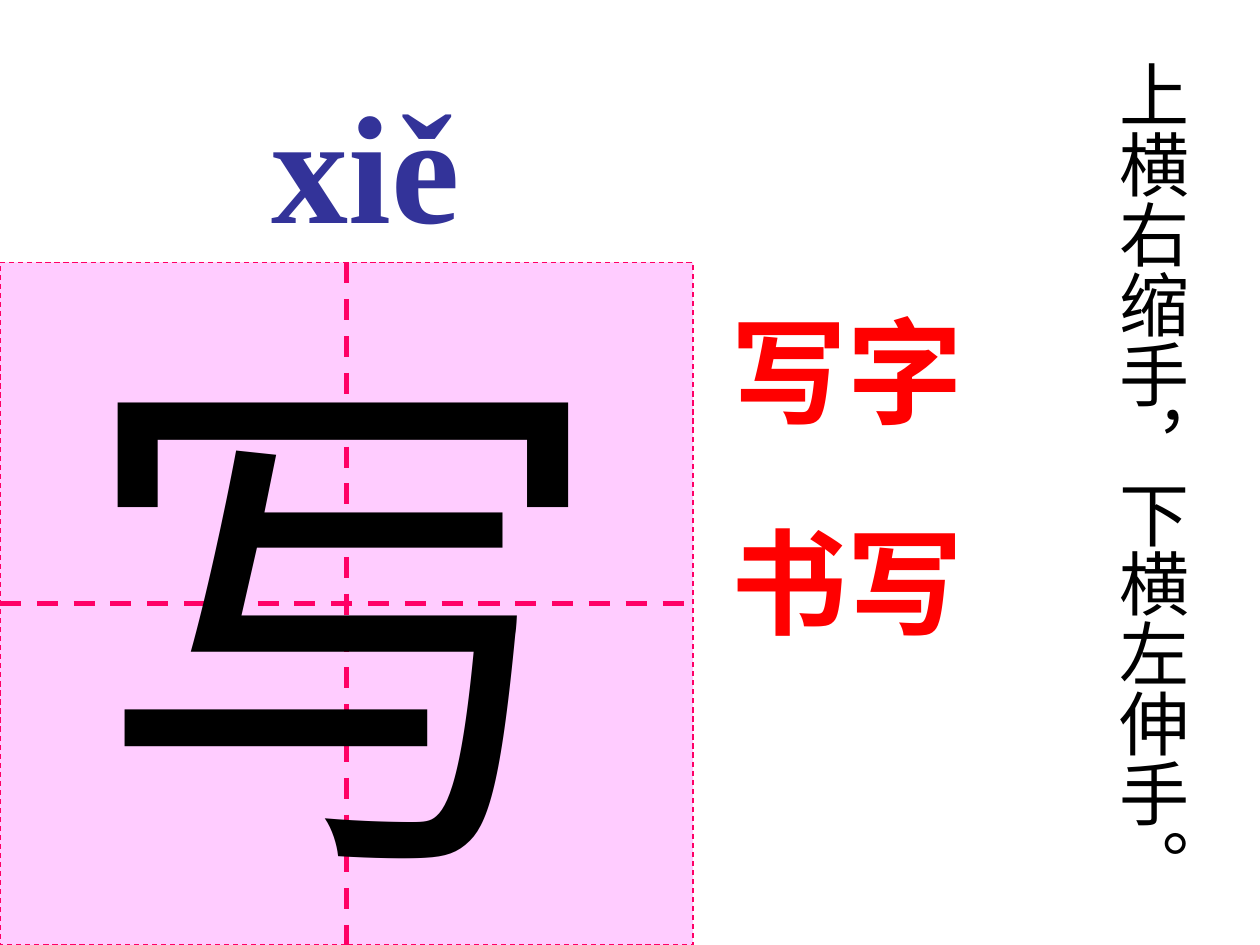
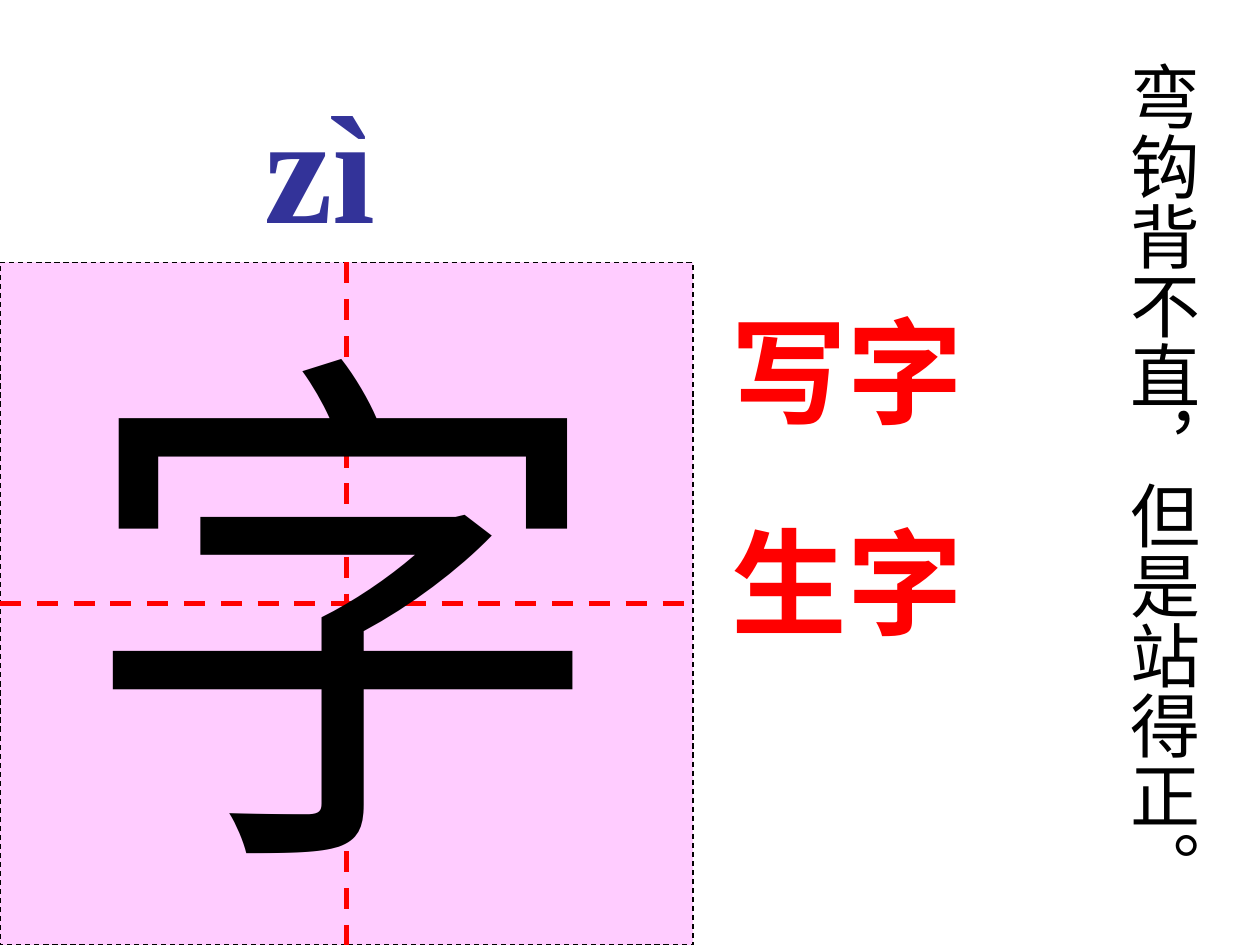
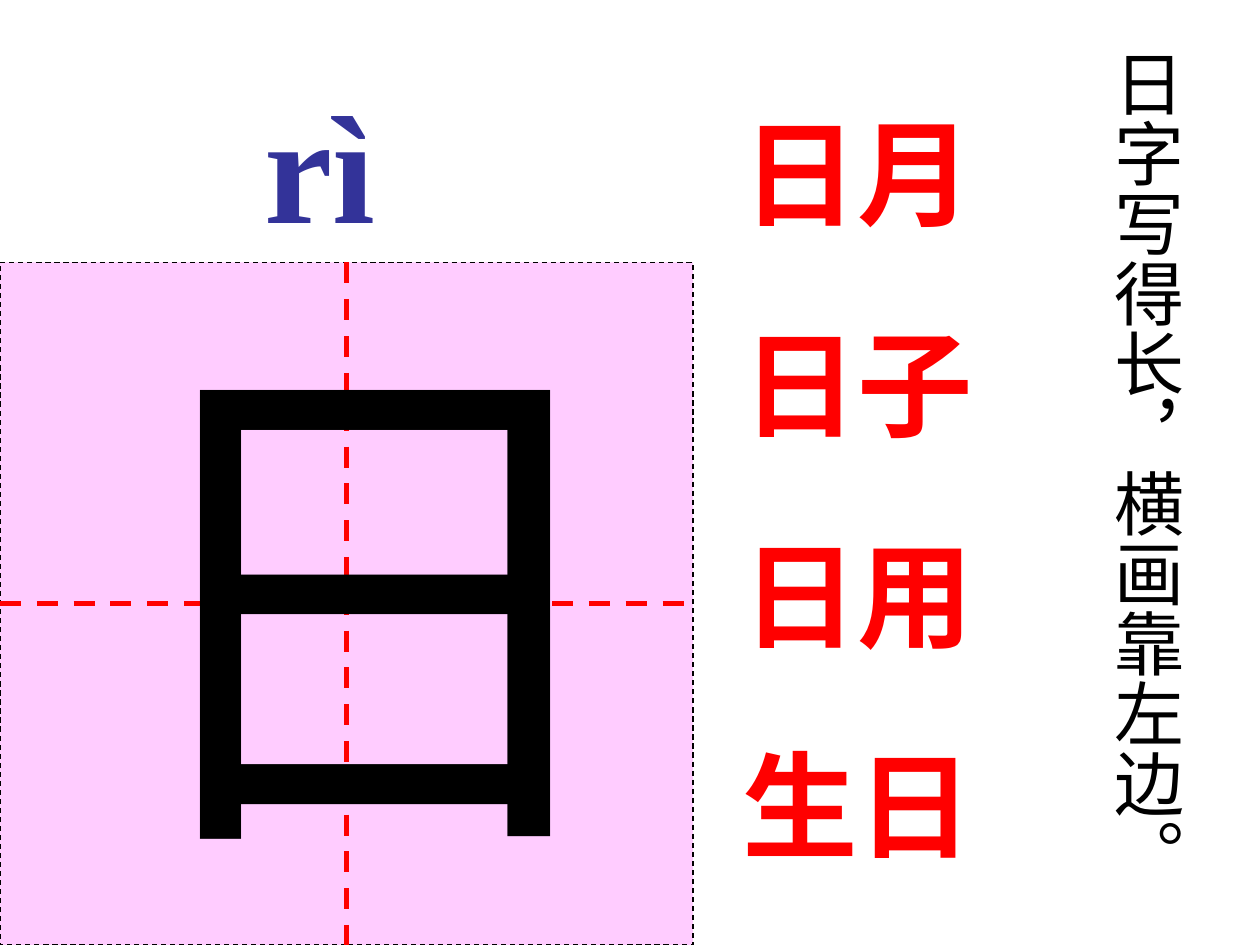
from pptx import Presentation
from pptx.dml.color import RGBColor
from pptx.enum.dml import MSO_LINE
from pptx.enum.lang import MSO_LANGUAGE_ID
from pptx.enum.shapes import MSO_CONNECTOR, MSO_SHAPE
from pptx.enum.text import MSO_AUTO_SIZE
from pptx.oxml.ns import qn
from pptx.util import Pt
from lxml import etree

# Shared look
FONT = "Times New Roman"
BLACK, RED, ROSE, PINK, NAVY = "000000", "FF0000", "FF0066", "FFCCFF", "333399"
DASH = MSO_LINE.DASH
RECT = MSO_SHAPE.RECTANGLE
LINE = MSO_CONNECTOR.STRAIGHT
GROW = MSO_AUTO_SIZE.SHAPE_TO_FIT_TEXT
CHINESE = MSO_LANGUAGE_ID.SIMPLIFIED_CHINESE

# Writing grid, in points
TOP, WIDE, HIGH = 150, 396, 390

# Character, pinyin, words, rhyme; each with the place of its box
LESSONS = [
    dict(edge=ROSE, cross=ROSE,
         glyph=("写", 36.75, 161.25), sound=("xiě", 126, 22),
         words=(["写字", "书写"], 411, 168, 207),
         rhyme=("上横右缩手，下横左伸手。", 624, 27)),
    dict(edge=BLACK, cross=RED,
         glyph=("字", 36.75, 155.25), sound=("zì", 78, 66),
         words=(["写字", "生字"], 411, 168, 328),
         rhyme=("弯钩背不直，但是站得正。", 630, 28)),
    dict(edge=BLACK, cross=RED,
         glyph=("日", 54, 150), sound=("rì", 78, 66),
         words=(["日月", "日子", "日用", "生日"], 417, 55, 448),
         rhyme=("日字写得长，横画靠左边。", 621, 21)),
]


def tint(code):
    return RGBColor.from_string(code)


def dash(line, color, width):
    line.color.rgb = tint(color)
    line.width = Pt(width)
    line.dash_style = DASH


def add_grid(slide, edge, cross):
    """Pink square with a dashed cross through its middle."""
    box = slide.shapes.add_shape(RECT, 0, Pt(TOP), Pt(WIDE), Pt(HIGH))
    box.shadow.inherit = False
    box.fill.solid()
    box.fill.fore_color.rgb = tint(PINK)
    dash(box.line, edge, 0.75)
    mid, half = WIDE / 2, TOP + HIGH / 2
    ends = [((0, half, WIDE, half), 1, 3),
            ((mid, TOP, mid, TOP + HIGH), 0, 2)]
    for spots, start, stop in ends:
        bar = slide.shapes.add_connector(LINE, *map(Pt, spots))
        bar.begin_connect(box, start)
        bar.end_connect(box, stop)
        dash(bar.line, cross, 3)
        etree.SubElement(bar._element.spPr, qn("a:effectLst"))


def add_text(slide, lines, place, size, color, bold=False, gap=0, indent=0):
    box = slide.shapes.add_textbox(*map(Pt, place))
    frame = box.text_frame
    frame.word_wrap = True
    frame.auto_size = GROW
    frame.text = "\n".join(lines)
    for i, para in enumerate(frame.paragraphs):
        if i:
            para.space_before = Pt(gap)
        if indent:
            para._p.get_or_add_pPr().set("marL", str(Pt(indent)))
        for run in para.runs:
            font = run.font
            font.name, font.size, font.bold = FONT, Pt(size), bold
            font.color.rgb = tint(color)
            font.language_id = CHINESE
    return frame


def add_rhyme(slide, text, left, top):
    """Column of upright characters, read downwards."""
    frame = add_text(slide, [text], (left, top, 62, 487), 40, BLACK)
    frame.word_wrap = False
    frame.margin_left = frame.margin_right = Pt(3.6)
    frame.margin_top = frame.margin_bottom = Pt(7.2)
    frame._txBody.bodyPr.set("vert", "eaVert")


def add_lesson(deck, edge, cross, glyph, sound, words, rhyme):
    slide = deck.slides.add_slide(deck.slide_layouts[6])
    add_grid(slide, edge, cross)
    sign, left, top = glyph
    add_text(slide, [sign], (left, top, 348, 374), 305, BLACK)
    sign, left, indent = sound
    add_text(slide, [sign], (left, 36, 348, 113), 88, NAVY, True,
             indent=indent)
    pairs, left, top, high = words
    add_text(slide, pairs, (left, top, 210, high), 66, RED, True, gap=41.2)
    add_rhyme(slide, *rhyme)


def main():
    deck = Presentation()
    deck.slide_width, deck.slide_height = Pt(720), Pt(540)
    for lesson in LESSONS:
        add_lesson(deck, **lesson)
    deck.save("out.pptx")


if __name__ == "__main__":
    main()
